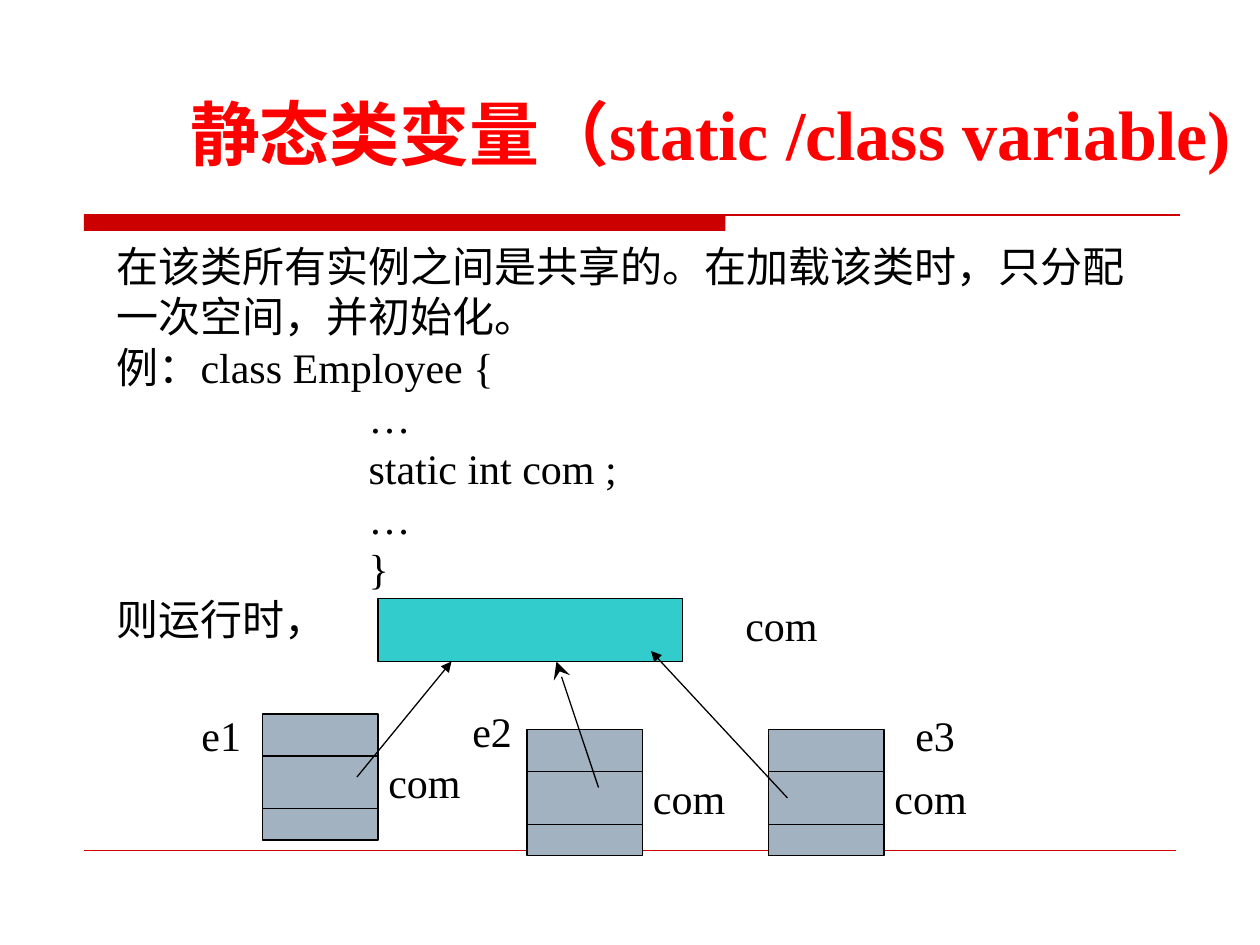
from typing import NamedTuple

from lxml.etree import SubElement as Sub
from pptx import Presentation
from pptx.dml.color import RGBColor as Rgb
from pptx.enum.shapes import MSO_CONNECTOR as Conn, MSO_SHAPE as Kind
from pptx.enum.text import MSO_ANCHOR as Anchor, MSO_AUTO_SIZE as Fit, PP_ALIGN as Align
from pptx.oxml.ns import qn
from pptx.util import Inches, Pt

HUE = {"red": "CC0000", "title": "FF0000", "ink": "000000",
       "teal": "33CCCC", "grey": "A3B2C1"}
FONT = "Times New Roman"
COLS, ROWS = 120, 90  # grid cells across and down the slide


class Box(NamedTuple):
    x: float
    y: float
    w: float
    h: float


class Item(NamedTuple):
    """One instance of the class: its box corner, its name and its arrow."""
    name: str
    x: float
    y: float
    name_x: float
    name_y: float
    start: tuple[float, float]
    end: tuple[float, float]
    head: str
    size: str


ITEMS = [
    Item("e1", 25, 68, 18, 67, (34, 74), (43, 63), "triangle", "med"),
    Item("e2", 50.2, 69.5, 43.8, 66.6, (57, 75), (53, 63), "stealth", "lg"),
    Item("e3", 73.2, 69.5, 86, 67, (75, 76), (62, 62), "triangle", "med"),
]
BODY = [  # indent in columns, text
    (0, "在该类所有实例之间是共享的。在加载该类时，只分配"),
    (0, "一次空间，并初始化。"),
    (0, "例：class Employee {"),
    (24, "…"),
    (24, "static int com ;"),
    (24, "…"),
    (24, "}"),
    (0, "则运行时，"),
]

deck = Presentation()
deck.slide_width, deck.slide_height = Inches(10), Inches(7.5)
slide = deck.slides.add_slide(deck.slide_layouts[1])


def col(n: float) -> int:
    return round(deck.slide_width * n / COLS)


def row(n: float) -> int:
    return round(deck.slide_height * n / ROWS)


def place(box: Box) -> tuple[int, int, int, int]:
    return col(box.x), row(box.y), col(box.w), row(box.h)


def write(shape, box: Box, lines: list, size: int = 24,
          hue: str = "ink", bold: bool = False) -> None:
    """Fill a text shape with indented lines, free of bullets."""
    shape.left, shape.top, shape.width, shape.height = place(box)
    frame = shape.text_frame
    frame.text = "\n".join(text for _, text in lines)
    frame.word_wrap = True
    frame.margin_right = 0
    frame.auto_size = Fit.NONE
    frame.vertical_anchor = Anchor.TOP
    for para, (indent, _) in zip(frame.paragraphs, lines):
        props = para._p.get_or_add_pPr()
        props.set("marL", str(col(indent)))
        props.set("indent", "0")
        Sub(props, qn("a:buNone"))
        para.alignment = Align.LEFT
        para.space_before = Pt(0)
        for run in para.runs:
            font = run.font
            font.name, font.size, font.bold = FONT, Pt(size), bold
            font.color.rgb = Rgb.from_string(HUE[hue])


def label(text: str, x: float, y: float, w: float) -> None:
    box = Box(x, y, w, 6)
    write(slide.shapes.add_textbox(*place(box)), box, [(0, text)])


def block(box: Box, hue: str, edge: bool = True) -> None:
    shape = slide.shapes.add_shape(Kind.RECTANGLE, *place(box))
    shape.shadow.inherit = False
    shape.fill.solid()
    shape.fill.fore_color.rgb = Rgb.from_string(HUE[hue])
    if edge:
        shape.line.color.rgb = Rgb.from_string(HUE["ink"])
        shape.line.width = Pt(0.75)
    else:
        shape.line.fill.background()


def line(start: tuple[float, float], end: tuple[float, float],
         hue: str = "ink", width: float = 0.75,
         head: str = "", size: str = "med") -> None:
    link = slide.shapes.add_connector(
        Conn.STRAIGHT, col(start[0]), row(start[1]), col(end[0]), row(end[1]))
    link.line.color.rgb = Rgb.from_string(HUE[hue])
    link.line.width = Pt(width)
    if head:
        Sub(link.line._get_or_add_ln(), qn("a:tailEnd"),
            type=head, w=size, len=size)
    Sub(link._element.spPr, qn("a:effectLst"))


def record(item: Item) -> None:
    """Draw an instance as a box of three fields, the middle one named com."""
    wide = 11
    block(Box(item.x, item.y, wide, 12), "grey")
    for drop in (4, 9):
        y = item.y + drop
        line((item.x, y), (item.x + wide, y))
    label("com", item.x + 10.8, item.y + 3.5, 9.2)


def main() -> None:
    block(Box(8, 20.5, 61.1, 1.5), "red", edge=False)
    line((8, 20.5), (112.4, 20.5), "red", 1)
    line((8, 81), (112, 81), "red", 0.25)

    write(slide.shapes.title, Box(16.9, 8, 103.1, 9.2),
          [(0, "静态类变量（static /class variable)")], 40, "title", True)
    write(slide.placeholders[1], Box(9.9, 22.3, 98.4, 39.6), BODY)

    block(Box(36, 57, 29, 6), "teal")
    label("com", 69.8, 56.5, 9.2)
    for item in ITEMS:
        record(item)
    for item in ITEMS:
        line(item.start, item.end, head=item.head, size=item.size)
        label(item.name, item.name_x, item.name_y, 6.1)
    deck.save("out.pptx")


if __name__ == "__main__":
    main()
